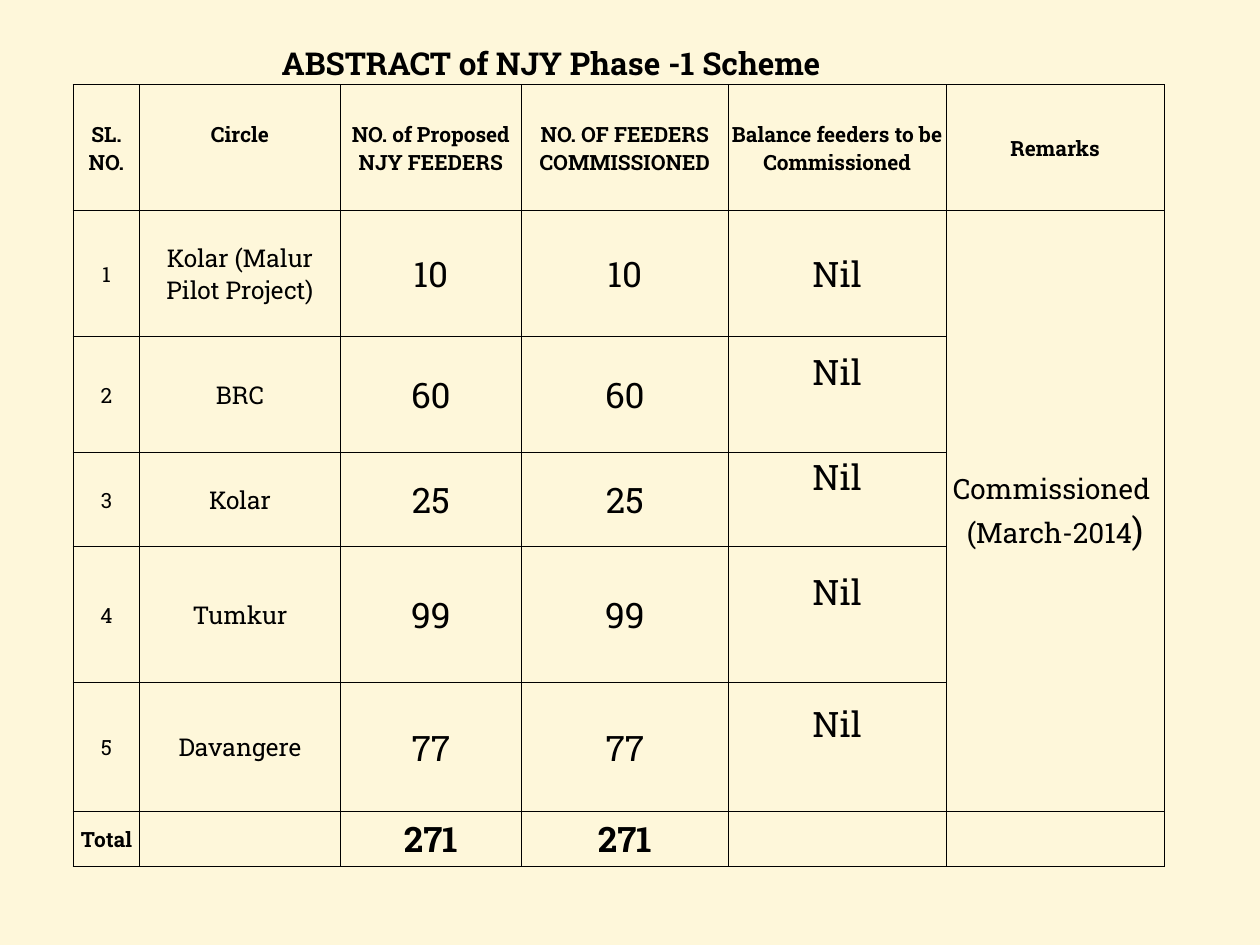
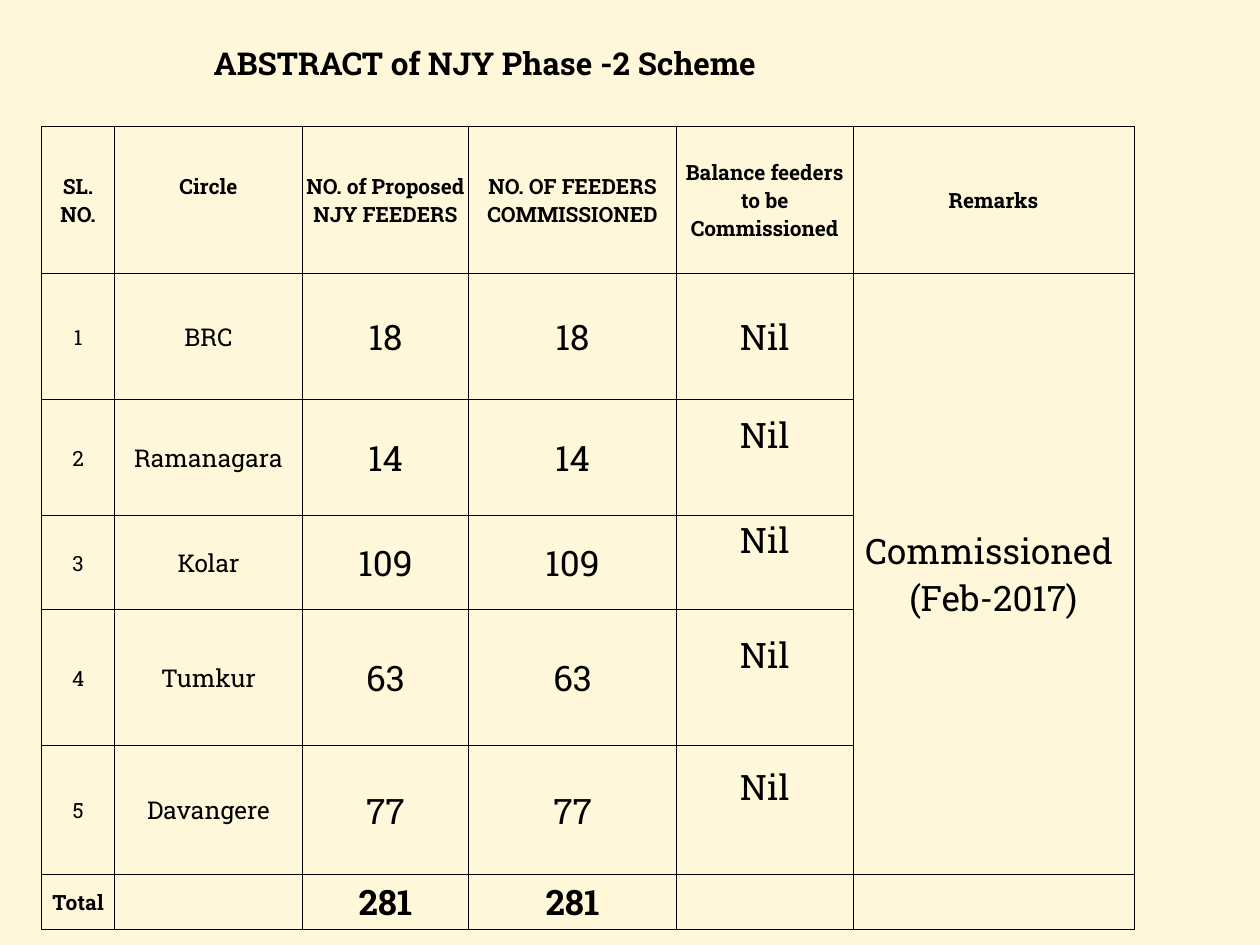
from dataclasses import dataclass

from lxml import etree
from pptx import Presentation
from pptx.dml import color
from pptx.enum import text
from pptx.oxml import ns
from pptx.util import Emu, Inches, Pt

GRID_COLUMNS, GRID_ROWS = 1000, 750
FONT = "Roboto Slab"
INK, PAPER = "000000", "FEF7DA"
HEADINGS = (
    "SL. NO.",
    "Circle",
    "NO. of Proposed NJY FEEDERS",
    "NO. OF FEEDERS COMMISSIONED",
    "Balance feeders to be Commissioned",
    "Remarks",
)
REMARKS = len(HEADINGS) - 1
TITLE_ROW, HEADING_ROW, FIRST_CIRCLE = 0, 1, 2
CIRCLE_HEIGHTS = (100, 92, 74, 108, 102)
TOTAL_HEIGHT = 44
TABLE_TOP = 33
TITLE_INDENT = 67
HEADING_LIFT, BALANCE_LIFT = 22, 37

deck = Presentation()
deck.slide_width, deck.slide_height = Inches(10), Inches(7.5)


@dataclass(frozen=True)
class Piece:
    words: str
    size: int
    bold: bool = False


@dataclass(frozen=True)
class Phase:
    title: str
    left: int
    widths: tuple[int, ...]
    title_height: int
    heading_height: int
    title_lift: int
    feeders: dict[str, int]
    remark: tuple[tuple[Piece, ...], ...]


def across(columns: float) -> Emu:
    return Emu(round(deck.slide_width * columns / GRID_COLUMNS))


def down(rows: float) -> Emu:
    return Emu(round(deck.slide_height * rows / GRID_ROWS))


def rgb(value: str) -> color.RGBColor:
    return color.RGBColor.from_string(value)


def rule_cell(cell, sides: str) -> None:
    properties = cell._tc.get_or_add_tcPr()
    for side in "LRTB":
        line = etree.SubElement(properties, ns.qn(f"a:ln{side}"), w=str(Pt(0.5)))
        if side in sides:
            ink = etree.SubElement(line, ns.qn("a:solidFill"))
            etree.SubElement(ink, ns.qn("a:srgbClr"), val=INK)
        else:
            etree.SubElement(line, ns.qn("a:noFill"))
    cell.fill.background()


def write(cell, *lines: tuple[Piece, ...], lift: float = 0, indent: float = 1) -> None:
    cell.margin_left, cell.margin_bottom = across(indent), down(lift)
    for index, pieces in enumerate(lines):
        frame = cell.text_frame
        paragraph = frame.paragraphs[0] if index == 0 else frame.add_paragraph()
        paragraph.alignment = text.PP_ALIGN.CENTER
        for piece in pieces:
            run = paragraph.add_run()
            run.text = piece.words
            run.font.name = FONT
            run.font.size = Pt(piece.size)
            run.font.bold = piece.bold
            run.font.color.rgb = rgb(INK)


def border_sides(row: int, cell) -> str:
    if row == TITLE_ROW:
        return "B"
    return "LR" if cell.is_spanned else "LRTB"


def draw_phase(phase: Phase) -> None:
    slide = deck.slides.add_slide(deck.slide_layouts[6])
    slide.background.fill.solid()
    slide.background.fill.fore_color.rgb = rgb(PAPER)

    heights = (phase.title_height, phase.heading_height, *CIRCLE_HEIGHTS, TOTAL_HEIGHT)
    total_row = len(heights) - 1
    abstract = slide.shapes.add_table(
        len(heights), len(phase.widths), across(phase.left), down(TABLE_TOP),
        across(sum(phase.widths)), down(sum(heights)),
    ).table
    abstract.first_row = abstract.horz_banding = False
    for column, width in zip(abstract.columns, phase.widths):
        column.width = across(width)
    for row, height in zip(abstract.rows, heights):
        row.height = down(height)

    abstract.cell(TITLE_ROW, 0).merge(abstract.cell(TITLE_ROW, REMARKS - 1))
    abstract.cell(FIRST_CIRCLE, REMARKS).merge(abstract.cell(total_row - 1, REMARKS))
    for row in range(len(heights)):
        for column in range(len(phase.widths)):
            cell = abstract.cell(row, column)
            cell.margin_left = cell.margin_right = across(1)
            cell.margin_top, cell.margin_bottom = down(1), down(0)
            cell.vertical_anchor = text.MSO_ANCHOR.MIDDLE
            rule_cell(cell, border_sides(row, cell))

    title = abstract.cell(TITLE_ROW, 0)
    title.vertical_anchor = text.MSO_ANCHOR.BOTTOM
    write(title, (Piece(phase.title, 18, True),), lift=phase.title_lift, indent=TITLE_INDENT)

    for column, heading in enumerate(HEADINGS):
        lift = HEADING_LIFT if heading == "Circle" else 0
        write(abstract.cell(HEADING_ROW, column), (Piece(heading, 12, True),), lift=lift)

    for number, (circle, count) in enumerate(phase.feeders.items(), 1):
        row = FIRST_CIRCLE + number - 1
        entries = (
            Piece(str(number), 12),
            Piece(circle, 14),
            Piece(str(count), 20),
            Piece(str(count), 20),
        )
        for column, entry in enumerate(entries):
            write(abstract.cell(row, column), (entry,))
        lift = BALANCE_LIFT if number > 1 else 0
        write(abstract.cell(row, REMARKS - 1), (Piece("Nil", 20),), lift=lift)
    write(abstract.cell(FIRST_CIRCLE, REMARKS), *phase.remark)

    total = Piece(str(sum(phase.feeders.values())), 20, True)
    write(abstract.cell(total_row, 0), (Piece("Total", 12, True),))
    for column in (2, 3):
        write(abstract.cell(total_row, column), (total,))


PHASES = (
    Phase(
        "ABSTRACT of NJY Phase -1 Scheme", 58, (53, 159, 144, 164, 173, 173), 33, 100, 0,
        {"Kolar (Malur Pilot Project)": 10, "BRC": 60, "Kolar": 25, "Tumkur": 99, "Davangere": 77},
        ((Piece("Commissioned ", 16),), (Piece("(March-2014", 16), Piece(")", 20))),
    ),
    Phase(
        "ABSTRACT of NJY Phase -2 Scheme ", 33, (58, 149, 132, 165, 140, 223), 67, 117, 33,
        {"BRC": 18, "Ramanagara": 14, "Kolar": 109, "Tumkur": 63, "Davangere": 77},
        ((Piece("Commissioned ", 20),), (Piece("(Feb-2017)", 20),)),
    ),
)

for phase in PHASES:
    draw_phase(phase)

deck.save("out.pptx")
